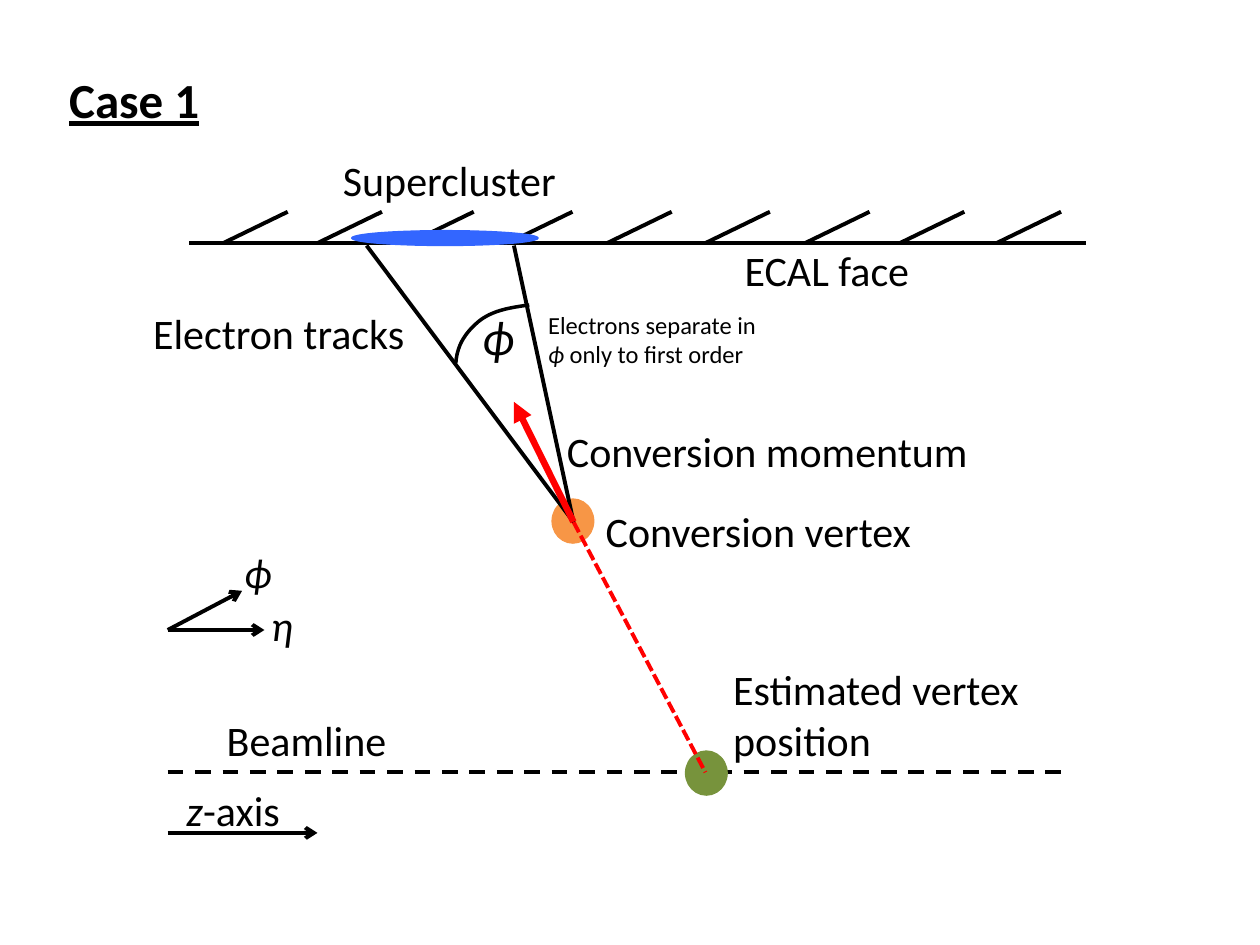
from pptx import Presentation
from pptx.dml.color import RGBColor
from pptx.enum.dml import MSO_LINE
from pptx.enum.shapes import MSO_CONNECTOR, MSO_SHAPE
from pptx.enum.text import MSO_ANCHOR, MSO_AUTO_SIZE, PP_ALIGN
from pptx.oxml.ns import qn
from pptx.util import Cm, Pt
from lxml.etree import SubElement

color = RGBColor.from_string
BLACK, RED = "000000", "FF0000"
LEFT, MID = PP_ALIGN.LEFT, PP_ALIGN.CENTER

deck = Presentation()
deck.slide_width, deck.slide_height = Cm(25.4), Cm(19.05)
slide = deck.slides.add_slide(deck.slide_layouts[5])
shapes = slide.shapes


def draw_line(start, end, ink=BLACK, width=2.25, dash=None, head=None):
    line = shapes.add_connector(
        MSO_CONNECTOR.STRAIGHT, *[Cm(v) for v in (*start, *end)])
    line.line.color.rgb = color(ink)
    line.line.width = Pt(width)
    if dash:
        line.line.dash_style = dash
    props = line._element.spPr
    if head:
        SubElement(props.find(qn("a:ln")), qn("a:tailEnd"), type=head)
    SubElement(props, qn("a:effectLst"))


def add_label(text, x, y, w, h=1.28, size=24, align=LEFT):
    frame = shapes.add_textbox(Cm(x), Cm(y), Cm(w), Cm(h)).text_frame
    frame.word_wrap = True
    par = frame.paragraphs[0]
    par.alignment = align
    par.font.name = "Calibri"
    par.font.size = Pt(size)
    par.font.color.rgb = color(BLACK)
    for i, part in enumerate(text.split("|")):
        if part:
            run = par.add_run()
            run.text = part
            if i % 2:
                run.font.italic = True


title = shapes.title
title.left, title.top, title.width, title.height = Cm(1.14), Cm(1.27), Cm(4.19), Cm(1.45)
frame = title.text_frame
frame.text = "Case 1"
frame.auto_size = MSO_AUTO_SIZE.NONE
frame.vertical_anchor = MSO_ANCHOR.TOP
par = frame.paragraphs[0]
par.alignment = LEFT
par.font.name = "Calibri"
par.font.size = Pt(28)
par.font.bold = par.font.underline = True
par.font.color.rgb = color(BLACK)

draw_line((3.38, 15.57), (21.46, 15.57), dash=MSO_LINE.DASH)
draw_line((3.81, 4.9), (21.89, 4.9))
for x in (4.5, 6.4, 8.25, 10.24, 12.24, 14.22, 16.23, 18.14, 20.09):
    draw_line((x, 4.9), (x + 1.3, 4.27))

for x, y, w, h, ink in (
    (11.13, 10.06, 0.84, 0.89, "F79646"),
    (7.09, 4.65, 3.76, 0.3, "3366FF"),
    (13.82, 15.14, 0.84, 0.89, "77933C"),
):
    spot = shapes.add_shape(MSO_SHAPE.OVAL, Cm(x), Cm(y), Cm(w), Cm(h))
    spot.shadow.inherit = False
    spot.fill.solid()
    spot.fill.fore_color.rgb = color(ink)
    spot.line.color.rgb = color(ink)
    spot.line.width = Pt(0.75)

vertex = (11.56, 10.52)
draw_line(vertex, (14.22, 15.57), RED, dash=MSO_LINE.SQUARE_DOT)
for x in (10.36, 7.39):
    draw_line(vertex, (x, 4.95))

curves = (
    ((9.19, 7.32), (9.22, 6.91), (9.42, 6.68), (9.65, 6.48)),
    ((9.65, 6.48), (9.91, 6.27), (10.26, 6.2), (10.67, 6.15)),
)
points = []
for curve in curves:
    for step in range(1, 13):
        t = step / 12
        parts = ((1 - t) ** 3, 3 * t * (1 - t) ** 2, 3 * t * t * (1 - t), t ** 3)
        points.append(tuple(
            Cm(sum(k * p[axis] for k, p in zip(parts, curve))) for axis in (0, 1)))
pen = shapes.build_freeform(Cm(9.19), Cm(7.32))
pen.add_line_segments(points, close=False)
arc = pen.convert_to_shape()
arc.shadow.inherit = False
arc.fill.background()
arc.line.color.rgb = color(BLACK)
arc.line.width = Pt(2)

draw_line(vertex, (10.36, 8.1), RED, 3.75, head="triangle")
draw_line((3.38, 16.79), (6.4, 16.79), head="arrow")
for end in ((5.33, 12.7), (4.88, 11.91)):
    draw_line((3.38, 12.7), end, head="arrow")

add_label("Supercluster", 4.88, 3, 8.36, align=MID)
add_label("ECAL face", 14.22, 4.8, 4.9, align=MID)
add_label("Electron tracks", 2.79, 6.07, 5.66, align=MID)
add_label("|ϕ", 9.47, 6.05, 1.57, 1.45, 28)
add_label("Electrons separate in |ϕ| only to first order", 10.8, 6.12, 4.98, 1.45, 14)
add_label("Conversion momentum", 11.18, 8.46, 9.5)
add_label("Conversion vertex", 11.96, 10.06, 7.37)
add_label("|ϕ", 4.67, 10.9, 1.3)
add_label("|η", 5.21, 11.96, 1.3)
add_label("Estimated vertex position", 14.53, 13.26, 6.86, 2.31)
add_label("Beamline", 3.73, 14.27, 4.9, align=MID)
add_label("|z|-axis", 3.51, 15.7, 6.86)

deck.save("out.pptx")
